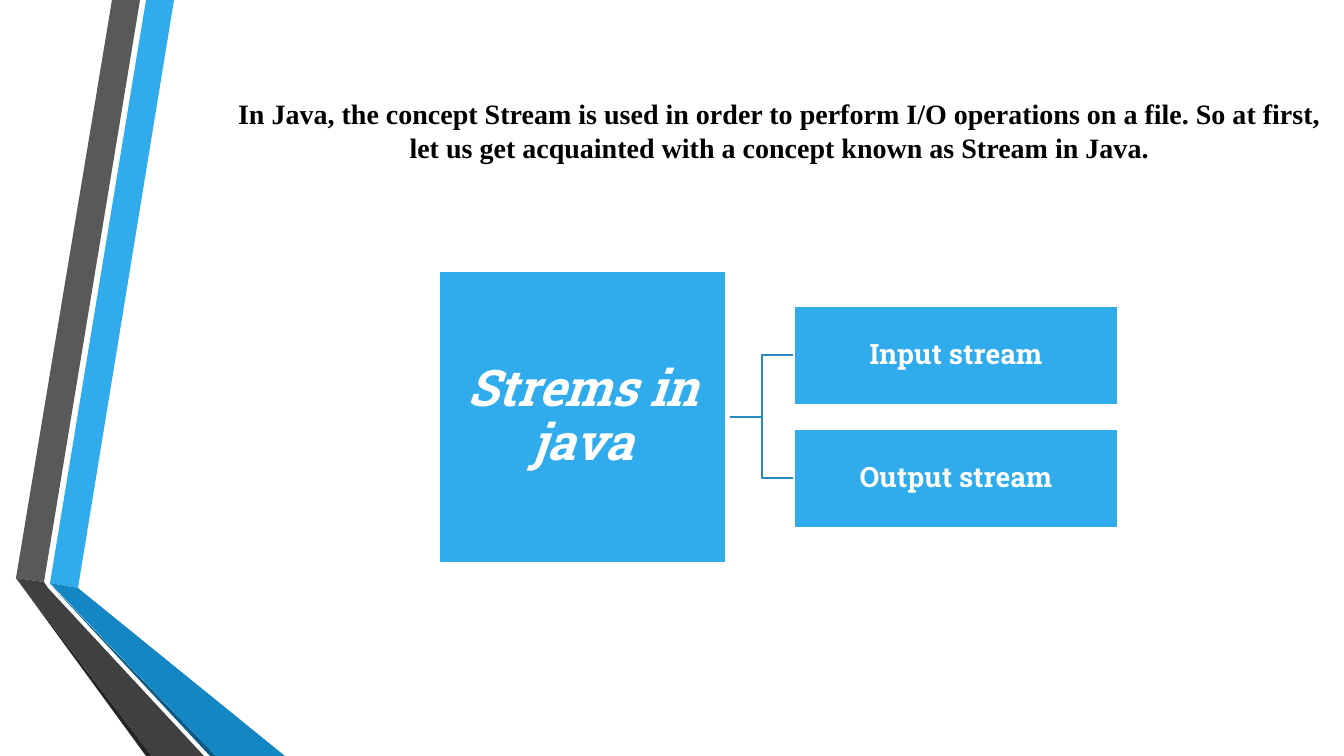
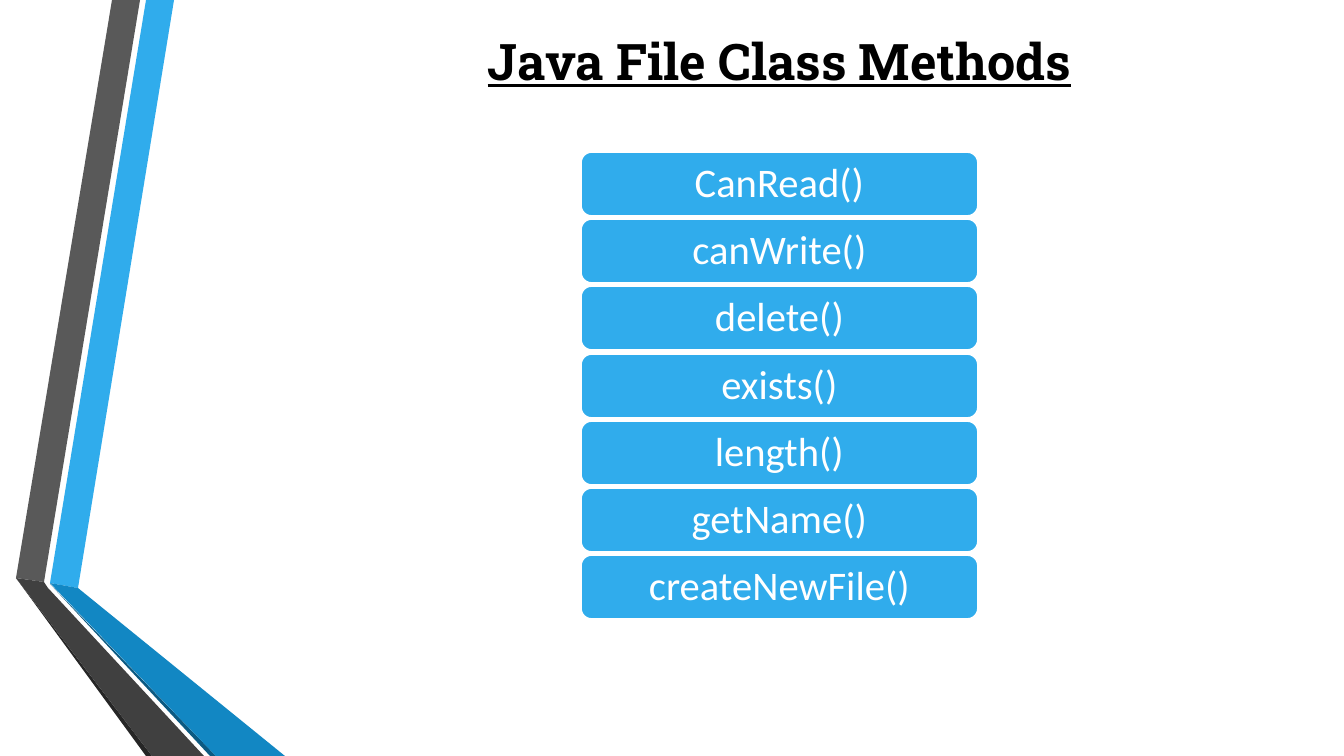
from dataclasses import dataclass

from pptx import Presentation
from pptx.dml.color import RGBColor
from pptx.enum.shapes import MSO_CONNECTOR as CONN, MSO_SHAPE as SHAPE
from pptx.enum.text import MSO_ANCHOR as ANCHOR, PP_ALIGN as ALIGN
from pptx.oxml.ns import qn
from pptx.util import Emu, Pt
from lxml.etree import SubElement

# Scale: the slide is 1344 x 756 pixels
SLIDE_W, SLIDE_H = 1344, 756
SCALE = 12192000 / SLIDE_W

# Shared style
BLUE, WHITE, BLACK, LINK = "30ACEC", "FFFFFF", "000000", "268ABD"
SLAB, SERIF, SANS = "Roboto Slab", "Times New Roman", "Calibri"
LINE_WIDTH = Pt(1.25)


@dataclass(frozen=True)
class Rect:
    x: int
    y: int
    w: int
    h: int


@dataclass(frozen=True)
class Band:
    color: str
    points: tuple


BANDS = (
    Band(BLUE, ((50, 583), (78, 588), (174, 0), (146, 0))),
    Band("595959", ((140, 0), (112, 0), (16, 578), (44, 582))),
    Band("262626", ((16, 578), (146, 756), (152, 756))),
    Band("0C5A82", ((50, 584), (210, 756), (216, 756))),
    Band("1287C3", ((50, 583), (216, 756), (285, 756), (78, 588))),
    Band("404040", ((204, 756), (48, 588), (44, 582), (16, 578), (152, 756))),
)


def px(n: float) -> Emu:
    return Emu(round(n * SCALE))


def rgb(color: str) -> RGBColor:
    return RGBColor.from_string(color)


def box(r: Rect) -> tuple:
    return px(r.x), px(r.y), px(r.w), px(r.h)


def fill(sp, color: str) -> None:
    sp.fill.solid()
    sp.fill.fore_color.rgb = rgb(color)
    sp.shadow.inherit = False


def write(sp, text: str, *, size: int, font: str, color: str = WHITE,
          bold: bool = False, italic: bool = False, underline: bool = False,
          anchor=ANCHOR.MIDDLE, spacing: float = 0.9, inset: int | None = None) -> None:
    tf = sp.text_frame
    tf.word_wrap = True
    tf.vertical_anchor = anchor
    if inset is not None:
        tf.margin_left = tf.margin_right = px(inset)
        tf.margin_top = tf.margin_bottom = px(inset)
    p = tf.paragraphs[0]
    p.alignment = ALIGN.CENTER
    p.line_spacing = spacing
    r = p.add_run()
    r.text = text
    f = r.font
    f.name, f.size, f.color.rgb = font, Pt(size), rgb(color)
    f.bold, f.italic, f.underline = bold, italic, underline


def add_bands(s, layout) -> None:
    """Draw the bands on a slide, then move them behind the layout's content."""
    for i, band in enumerate(BANDS):
        builder = s.shapes.build_freeform(*band.points[0], scale=SCALE)
        builder.add_line_segments(band.points[1:], close=True)
        sp = builder.convert_to_shape()
        fill(sp, band.color)
        sp.line.fill.background()
        sp.name = f"Band {i + 1}"
        sp.element.xpath("p:nvSpPr/p:cNvPr")[0].set("id", str(100 + i))
        layout.shapes.element.insert(2 + i, sp.element)


def add_title(s, r: Rect, text: str, **fmt) -> None:
    sp = s.shapes.title
    sp.left, sp.top, sp.width, sp.height = box(r)
    write(sp, text, color=BLACK, bold=True, spacing=1.0, **fmt)


def add_box(s, kind, r: Rect, text: str, **fmt) -> None:
    sp = s.shapes.add_shape(kind, *box(r))
    fill(sp, BLUE)
    sp.line.color.rgb = rgb(WHITE)
    sp.line.width = LINE_WIDTH
    write(sp, text, **fmt)


def add_elbow(s, x1: int, y1: int, x2: int, y2: int) -> None:
    c = s.shapes.add_connector(CONN.ELBOW, px(x1), px(y1), px(x2), px(y2))
    c.line.color.rgb = rgb(LINK)
    c.line.width = LINE_WIDTH
    SubElement(c.element.spPr, qn("a:effectLst"))


prs = Presentation()
prs.slide_width, prs.slide_height = px(SLIDE_W), px(SLIDE_H)
layout = prs.slide_layouts[5]

# Slide 1: stream types
s = prs.slides.add_slide(layout)
add_bands(s, layout)
add_title(s, Rect(227, 24, 1105, 212),
          "In Java, the concept Stream is used in order to perform I/O operations "
          "on a file. So at first, let us get acquainted with a concept known as "
          "Stream in Java.", size=20, font=SERIF)

root = Rect(439, 271, 287, 292)
streams = {"Input stream": Rect(794, 306, 324, 99),
           "Output stream": Rect(794, 429, 324, 99)}
for r in streams.values():
    add_elbow(s, root.x + root.w + 4, root.y + root.h // 2, r.x, r.y + r.h // 2)
add_box(s, SHAPE.RECTANGLE, root, "Strems in java",
        size=36, font=SLAB, bold=True, italic=True, inset=3)
for text, r in streams.items():
    add_box(s, SHAPE.RECTANGLE, r, text, size=20, font=SLAB, bold=True, inset=1)

# Slide 2: file methods in an evenly spaced stack
s = prs.slides.add_slide(layout)
add_title(s, Rect(227, 25, 1105, 83), "Java File Class Methods",
          size=36, font=SLAB, underline=True, anchor=ANCHOR.TOP)

METHODS = ("CanRead()", "canWrite()", "delete()", "exists()", "length()",
           "getName()", "createNewFile()")
FIRST_TOP, LAST_TOP = 152, 555
pitch = (LAST_TOP - FIRST_TOP) / (len(METHODS) - 1)
for i, method in enumerate(METHODS):
    r = Rect(581, round(FIRST_TOP + i * pitch), 397, 64)
    add_box(s, SHAPE.ROUNDED_RECTANGLE, r, method, size=29, font=SANS, inset=6)

prs.save("out.pptx")
